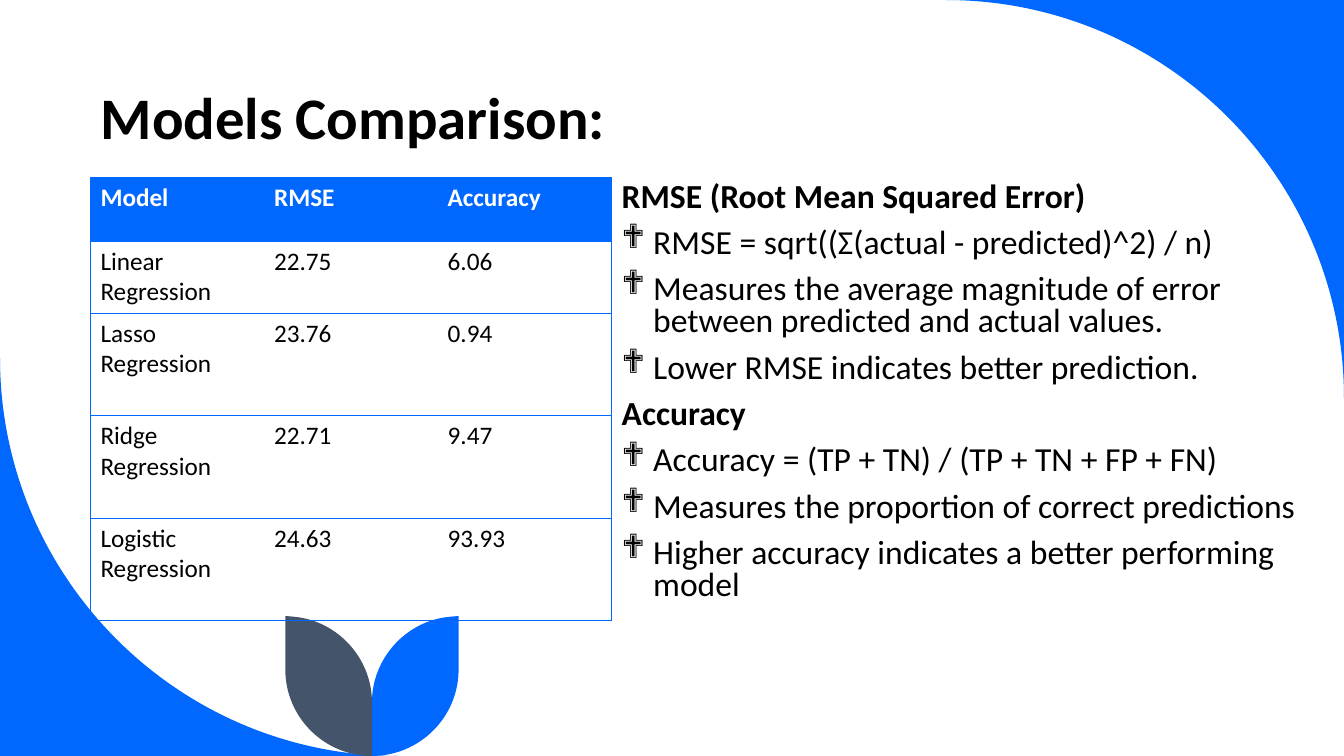
from lxml.etree import SubElement
from pptx import Presentation
from pptx.dml.color import RGBColor
from pptx.enum.text import MSO_ANCHOR
from pptx.oxml.ns import qn
from pptx.util import Pt

BLUE = RGBColor(0x00, 0x68, 0xFF)
SLATE = RGBColor(0x44, 0x54, 0x6A)
BLACK = RGBColor(0, 0, 0)
WHITE = RGBColor(255, 255, 255)
FONT = "Calibri"
BULLET_FONT = "Wingdings"
WIDTH, HEIGHT = 960, 540
LEAF_AXIS = 265.7

# Each outline is a list of segments: one point is a straight line,
# three points are a curve. The first segment is the starting point.
CORNER = [
    [(0, 255.6)],
    [(0, 412.6), (127.4, HEIGHT), (284.4, HEIGHT)],
    [(0, HEIGHT)],
]
LEAF = [
    [(327.6, 440)],
    [(327.6, 478.1)],
    [(327.6, 512.6), (299.5, HEIGHT), (LEAF_AXIS, HEIGHT)],
    [(LEAF_AXIS, 501.8)],
    [(LEAF_AXIS, 470.2), (290.2, 443.5), (321.1, 440.6)],
]

SCORES = [
    ("Model", "RMSE", "Accuracy"),
    ("Linear Regression", "22.75", "6.06"),
    ("Lasso Regression", "23.76", "0.94"),
    ("Ridge Regression", "22.71", "9.47"),
    ("Logistic Regression", "24.63", "93.93"),
]
COLUMN_WIDTH = 124
ROW_HEIGHTS = [45.5, 51.5, 73.2, 73.2, 73.2]

METRICS = [
    ("RMSE (Root Mean Squared Error)", [
        "RMSE = sqrt((Σ(actual - predicted)^2) / n)",
        "Measures the average magnitude of error between predicted and actual values.",
        "Lower RMSE indicates better prediction.",
    ]),
    ("Accuracy", [
        "Accuracy = (TP + TN) / (TP + TN + FP + FN)",
        "Measures the proportion of correct predictions",
        "Higher accuracy indicates a better performing model",
    ]),
]


def bend_segments(outline, segments):
    """Turn the line steps of every three-point segment into one curve."""
    steps = iter(list(outline._element.iter(qn("a:lnTo"))))
    for segment in segments[1:]:
        lines = [next(steps) for _ in segment]
        if len(lines) == 3:
            lines[0].tag = qn("a:cubicBezTo")
            for line in lines[1:]:
                lines[0].append(line[0])
                line.getparent().remove(line)


def add_outline(slide, segments, color, place=lambda x, y: (x, y)):
    """Draw segments after moving each point with place."""
    points = [place(*point) for segment in segments for point in segment]
    start, *rest = [(Pt(x), Pt(y)) for x, y in points]
    builder = slide.shapes.build_freeform(*start)
    builder.add_line_segments(rest, close=True)
    outline = builder.convert_to_shape()
    bend_segments(outline, segments)
    outline.shadow.inherit = False
    outline.fill.solid()
    outline.fill.fore_color.rgb = color
    outline.line.fill.background()


def add_decoration(slide):
    add_outline(slide, CORNER, BLUE, lambda x, y: (WIDTH - x, HEIGHT - y))
    add_outline(slide, CORNER, BLUE)
    add_outline(slide, LEAF, BLUE)
    add_outline(slide, LEAF, SLATE, lambda x, y: (2 * LEAF_AXIS - x, y))


def add_run(paragraph, text, size, color=BLACK, bold=False):
    run = paragraph.add_run()
    run.text = text
    run.font.name = FONT
    run.font.size = Pt(size)
    run.font.bold = bold
    run.font.color.rgb = color


def add_text_frame(slide, left, top, width, height, anchor):
    frame = slide.shapes.add_textbox(Pt(left), Pt(top), Pt(width), Pt(height)).text_frame
    frame.word_wrap = True
    frame.vertical_anchor = anchor
    return frame


def add_title(slide, text):
    title = add_text_frame(slide, 64.8, 36, 840, 75, MSO_ANCHOR.BOTTOM).paragraphs[0]
    title.line_spacing = 0.8
    add_run(title, text, 42, bold=True)


def set_bullet(paragraph):
    properties = paragraph._p.get_or_add_pPr()
    properties.set("marL", str(Pt(22.5)))
    properties.set("indent", str(Pt(-22.5)))
    SubElement(properties, qn("a:buFont"), typeface=BULLET_FONT)
    SubElement(properties, qn("a:buChar"), char="❖")


def add_metrics(slide):
    frame = add_text_frame(slide, 437, 126.7, 505.4, 352.8, MSO_ANCHOR.TOP)
    lines = [(text, text == heading)
             for heading, points in METRICS for text in (heading, *points)]
    for index, (text, is_heading) in enumerate(lines):
        paragraph = frame.add_paragraph() if index else frame.paragraphs[0]
        paragraph.line_spacing = 0.8
        paragraph.space_before = Pt(10)
        if not is_heading:
            set_bullet(paragraph)
        add_run(paragraph, text, 24, bold=is_heading)


def set_borders(cell, column, last_column):
    """Rule every row and the table's outer sides, but not between columns."""
    visible = {"lnL": column == 0, "lnR": column == last_column, "lnT": True, "lnB": True}
    properties = cell._tc.get_or_add_tcPr()
    for side, shown in visible.items():
        border = SubElement(properties, qn(f"a:{side}"), w=str(Pt(0.5)))
        if shown:
            fill = SubElement(border, qn("a:solidFill"))
            SubElement(fill, qn("a:srgbClr"), val=str(BLUE))
        else:
            SubElement(border, qn("a:noFill"))


def add_scores(slide):
    columns = len(SCORES[0])
    table = slide.shapes.add_table(len(SCORES), columns, Pt(64.6), Pt(126.7),
                                   Pt(columns * COLUMN_WIDTH), Pt(sum(ROW_HEIGHTS))).table
    table.horz_banding = False
    for column in table.columns:
        column.width = Pt(COLUMN_WIDTH)
    for row, height in zip(table.rows, ROW_HEIGHTS):
        row.height = Pt(height)
    for r, values in enumerate(SCORES):
        is_header = r == 0
        for c, value in enumerate(values):
            cell = table.cell(r, c)
            set_borders(cell, c, columns - 1)
            if is_header:
                cell.fill.solid()
                cell.fill.fore_color.rgb = BLUE
            else:
                cell.fill.background()
            add_run(cell.text_frame.paragraphs[0], value, 18,
                    WHITE if is_header else BLACK, bold=is_header)


def main():
    presentation = Presentation()
    presentation.slide_width, presentation.slide_height = Pt(WIDTH), Pt(HEIGHT)
    slide = presentation.slides.add_slide(presentation.slide_layouts[6])
    add_decoration(slide)
    add_title(slide, "Models Comparison:")
    add_scores(slide)
    add_metrics(slide)
    presentation.save("out.pptx")


if __name__ == "__main__":
    main()
